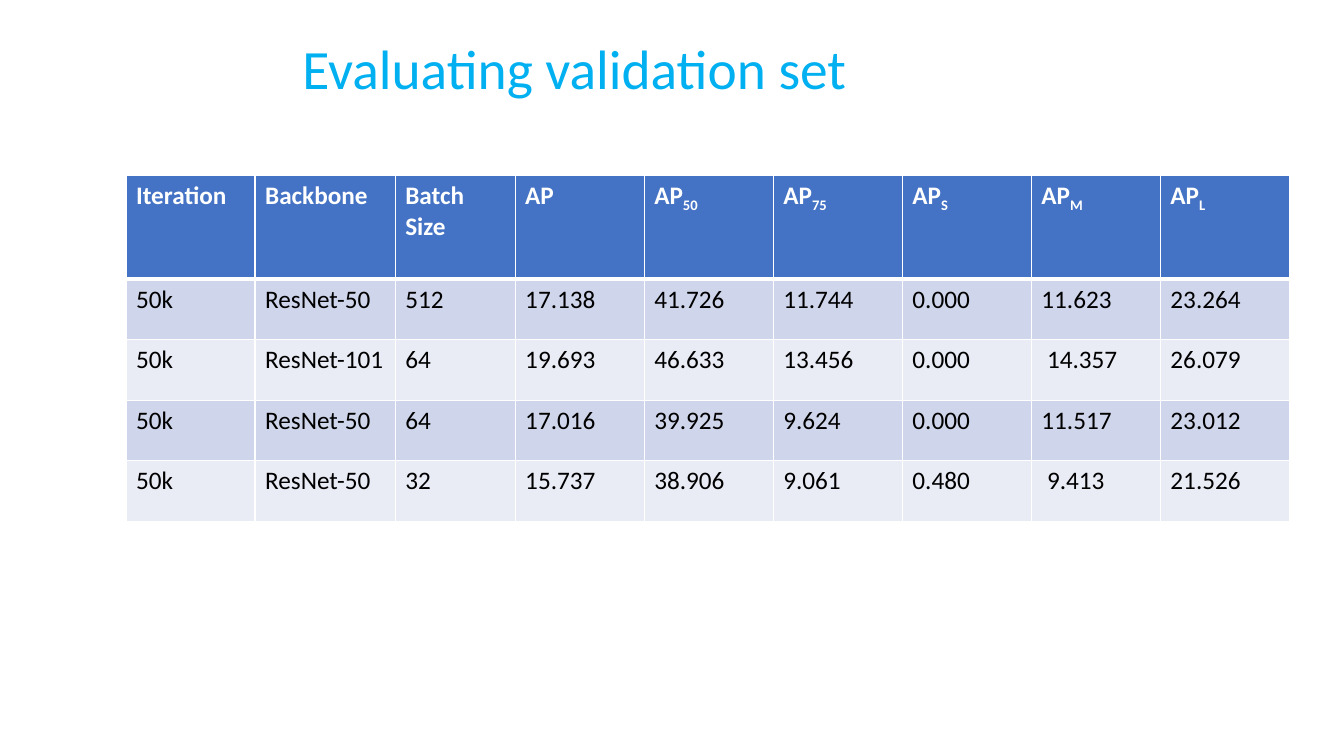
import pptx
import pptx.util
import pptx.dml.color
import pptx.enum.text
import pptx.oxml.ns
from lxml import etree

Inches = pptx.util.Inches
Pt = pptx.util.Pt
RGBColor = pptx.dml.color.RGBColor

FONT = "Calibri"
SKY = RGBColor(0x00, 0xB0, 0xF0)
BLUE = RGBColor(0x44, 0x72, 0xC4)
BAND_DARK = RGBColor(0xCF, 0xD5, 0xEA)
BAND_LIGHT = RGBColor(0xE9, 0xEB, 0xF5)
WHITE = RGBColor(0xFF, 0xFF, 0xFF)
BLACK = RGBColor(0x00, 0x00, 0x00)

# Each heading is its text and its subscript.
HEADINGS = [
    ("Iteration", ""), ("Backbone", ""), ("Batch Size", ""), ("AP", ""),
    ("AP", "50"), ("AP", "75"), ("AP", "S"), ("AP", "M"), ("AP", "L"),
]
RESULTS = [
    ["50k", "ResNet-50", "512", "17.138", "41.726", "11.744", "0.000", "11.623", "23.264"],
    ["50k", "ResNet-101", "64", "19.693", "46.633", "13.456", "0.000", " 14.357", "26.079"],
    ["50k", "ResNet-50", "64", "17.016", "39.925", "9.624", "0.000", "11.517", "23.012"],
    ["50k", "ResNet-50", "32", "15.737", "38.906", "9.061", "0.480", " 9.413", "21.526"],
]
COLUMN_WIDTHS = [1.28, 1.39, 1.19] + [1.28] * 6
ROW_HEIGHTS = [1.03] + [0.6] * len(RESULTS)


def add_run(p, text, size, color, bold=False):
    r = p.add_run()
    r.text = text
    r.font.name = FONT
    r.font.size = Pt(size)
    r.font.bold = bold
    r.font.color.rgb = color
    return r


def add_title(slide, text):
    sp = slide.shapes.add_textbox(Inches(2.9), Inches(0.4), Inches(9.52), Inches(0.62))
    tf = sp.text_frame
    tf.word_wrap = True
    tf.vertical_anchor = pptx.enum.text.MSO_ANCHOR.MIDDLE
    p = tf.paragraphs[0]
    p.line_spacing = 0.9
    add_run(p, text, 39.6, SKY)


def set_borders(cell, bottom_width):
    """Draw white 1 pt cell borders, with a bottom border of the given width."""
    tc_pr = cell._tc.get_or_add_tcPr()
    qn = pptx.oxml.ns.qn
    for side, width in (("L", 1), ("R", 1), ("T", 1), ("B", bottom_width)):
        ln = etree.SubElement(tc_pr, qn(f"a:ln{side}"), w=str(Pt(width)))
        fill = etree.SubElement(ln, qn("a:solidFill"))
        etree.SubElement(fill, qn("a:srgbClr"), val=str(WHITE))


def style_cell(cell, color, bottom_width=1):
    set_borders(cell, bottom_width)
    cell.fill.solid()
    cell.fill.fore_color.rgb = color


def add_results_table(slide):
    frame = slide.shapes.add_table(
        len(ROW_HEIGHTS), len(COLUMN_WIDTHS), Inches(1.25), Inches(1.74),
        Inches(sum(COLUMN_WIDTHS)), Inches(sum(ROW_HEIGHTS)))
    table = frame.table
    for column, width in zip(table.columns, COLUMN_WIDTHS):
        column.width = Inches(width)
    for row, height in zip(table.rows, ROW_HEIGHTS):
        row.height = Inches(height)

    for col, (text, subscript) in enumerate(HEADINGS):
        cell = table.cell(0, col)
        style_cell(cell, BLUE, bottom_width=3)
        p = cell.text_frame.paragraphs[0]
        add_run(p, text, 18, WHITE, bold=True)
        if subscript:
            r = add_run(p, subscript, 18, WHITE, bold=True)
            r.font._element.set("baseline", "-25000")

    for row, values in enumerate(RESULTS, start=1):
        for col, value in enumerate(values):
            cell = table.cell(row, col)
            style_cell(cell, BAND_DARK if row % 2 else BAND_LIGHT)
            add_run(cell.text_frame.paragraphs[0], value, 18, BLACK)


def main():
    prs = pptx.Presentation()
    prs.slide_width = Inches(13.33)
    prs.slide_height = Inches(7.5)
    slide = prs.slides.add_slide(prs.slide_layouts[6])
    add_title(slide, "Evaluating validation set")
    add_results_table(slide)
    prs.save("out.pptx")


if __name__ == "__main__":
    main()
